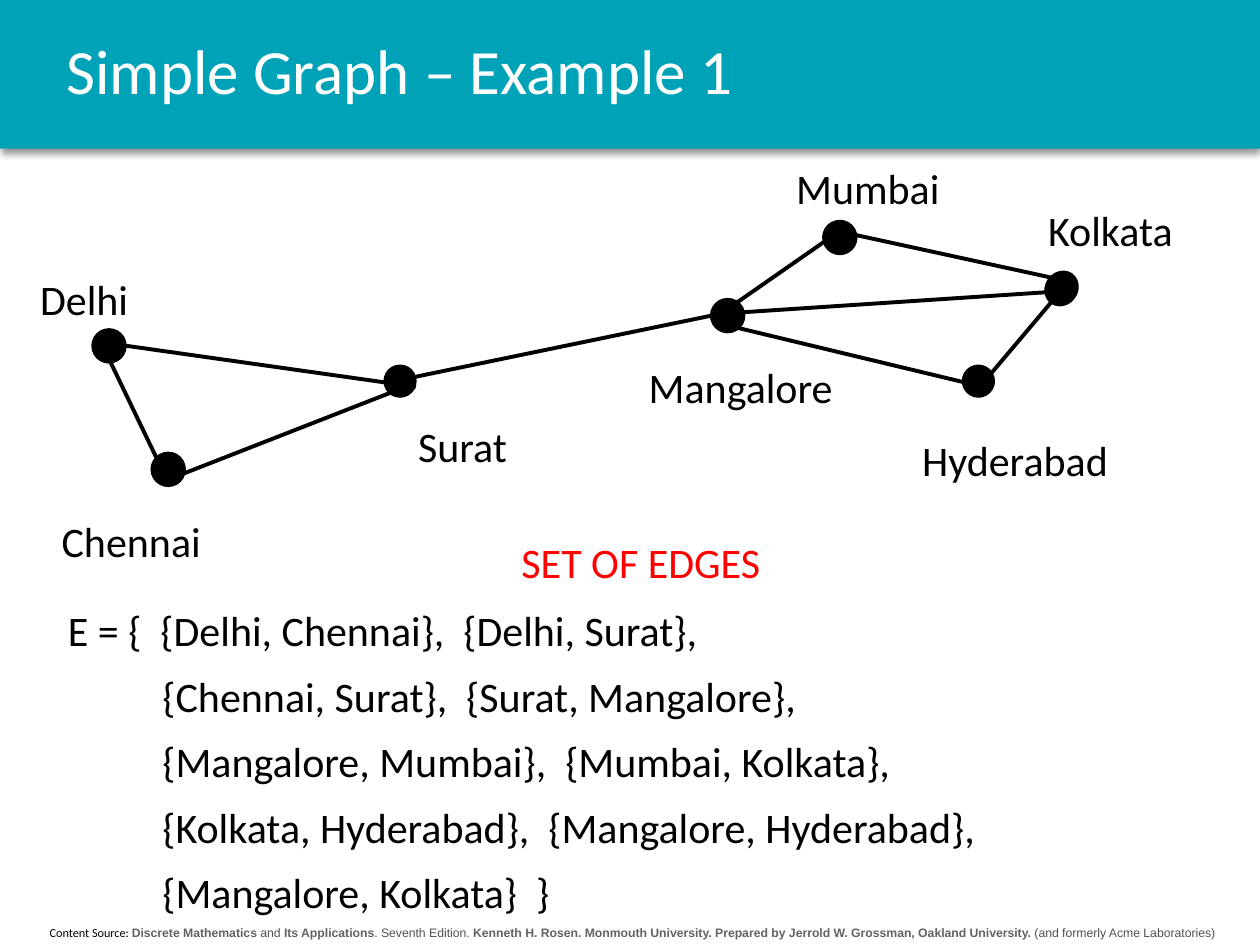
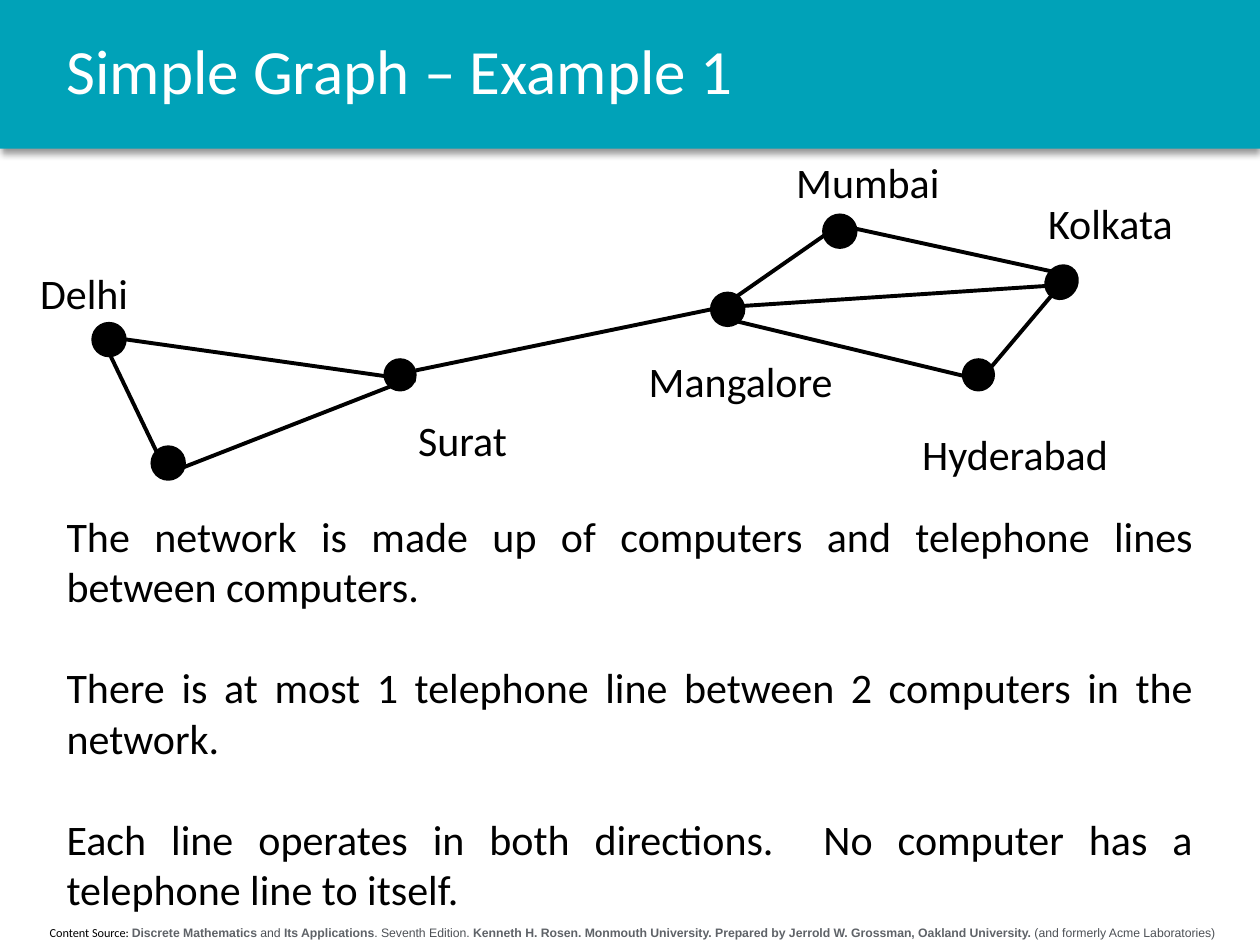
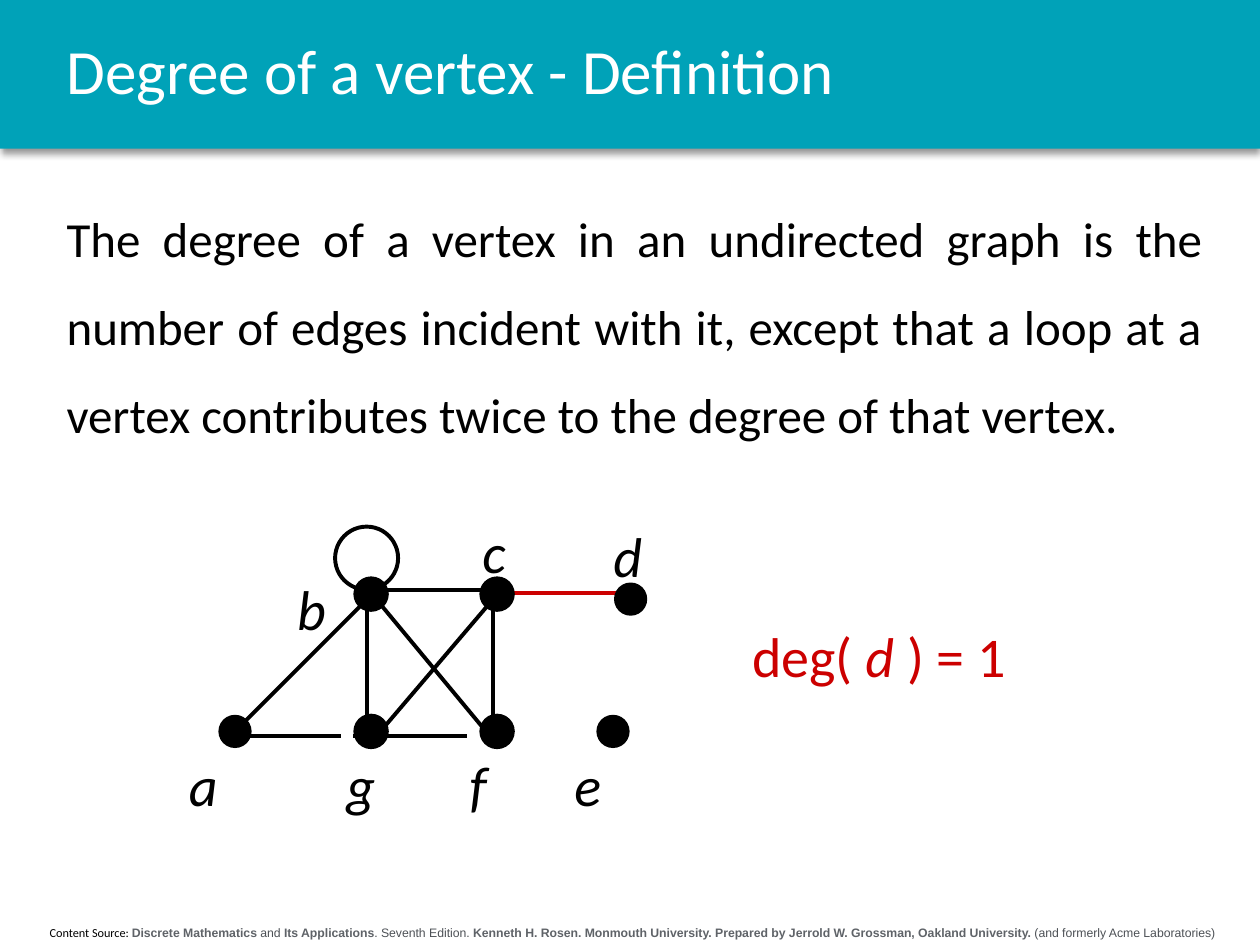
"""Build three slides on simple graphs and the degree of a vertex."""
from pptx import Presentation
from pptx.dml.color import RGBColor
from pptx.enum import shapes, text
from pptx.oxml import parse_xml
from pptx.oxml.ns import nsdecls
from pptx.oxml.xmlchemy import OxmlElement
from pptx.util import Pt

PX = 9144
TEAL = RGBColor(0x00, 0xA2, 0xB8)
WHITE = RGBColor(0xFF, 0xFF, 0xFF)
BLACK = RGBColor(0x00, 0x00, 0x00)
RED = RGBColor(0xFF, 0x00, 0x00)
DARK_RED = RGBColor(0xCC, 0x00, 0x00)
SLATE = RGBColor(0x5F, 0x63, 0x68)
GREY = RGBColor(0x4D, 0x51, 0x56)
SHADOW = (
    f'<a:effectLst {nsdecls("a")}><a:outerShdw blurRad="50800" dist="38100" dir="5400000" '
    'algn="t" rotWithShape="0"><a:srgbClr val="000000"><a:alpha val="40000"/></a:srgbClr>'
    '</a:outerShdw></a:effectLst>'
)
STRONG = {"font": "Arial", "color": SLATE, "bold": True}
PLAIN = {"font": "Arial", "color": GREY}
FOOTER = [
    ("Content Source: ", {}),
    ("Discrete Mathematics", STRONG),
    (" and ", PLAIN),
    ("Its Applications", STRONG),
    (". Seventh Edition. ", PLAIN),
    ("Kenneth H. Rosen. Monmouth University. Prepared by Jerrold W. Grossman, "
     "Oakland University.", STRONG),
    (" (and formerly Acme Laboratories)", PLAIN),
]


def write(page, bounds, paragraphs, size=24, color=BLACK, font="Calibri", bold=False,
          italic=False, align=text.PP_ALIGN.LEFT, anchor=text.MSO_ANCHOR.TOP, wrap=False,
          spacing=None, gap=0, indent=0):
    """Add a text box; each paragraph is a string or a list of (text, format) spans."""
    box = page.shapes.add_textbox(*(value * PX for value in bounds))
    frame = box.text_frame
    frame.word_wrap = wrap
    frame.vertical_anchor = anchor
    if not wrap:
        frame.auto_size = text.MSO_AUTO_SIZE.SHAPE_TO_FIT_TEXT
    for index, content in enumerate(paragraphs):
        para = frame.add_paragraph() if index else frame.paragraphs[0]
        para.alignment = align
        para.line_spacing = spacing
        if index:
            para.space_before = Pt(gap)
            para._p.get_or_add_pPr().set("marL", str(indent * PX))
        for words, changes in [(content, {})] if isinstance(content, str) else content:
            style = {"font": font, "color": color, "bold": bold, "italic": italic} | changes
            span = para.add_run()
            span.text = words
            span.font.size = Pt(size)
            span.font.name = style["font"]
            span.font.color.rgb = style["color"]
            span.font.bold = style["bold"]
            span.font.italic = style["italic"]


city_edges = [
    (88, 288, 124, 363), (654, 192, 585, 240), (97, 274, 330, 307),
    (322, 307, 130, 382), (663, 183, 842, 222), (572, 249, 830, 232),
    (572, 257, 780, 307), (572, 249, 330, 299), (841, 232, 776, 309),
]
city_dots = [
    (74, 262, 25, 2.25, 0), (121, 360, 25, 2.25, 0), (654, 176, 25, 2.25, 0),
    (565, 238, 25, 2.25, 0), (764, 290, 25, 1, 0), (830, 215, 28, 1, 35),
    (305, 290, 25, 1, 0),
]
city_labels = [
    ("Delhi", 22, 212, 97), ("Surat", 322, 329, 103), ("Kolkata", 822, 157, 135),
    ("Mangalore", 505, 282, 181), ("Hyderabad", 722, 340, 182), ("Mumbai", 622, 124, 139),
]
vertex_edges = [
    (497, 471, 405, 471, DARK_RED), (291, 484, 291, 568), (391, 484, 391, 568),
    (280, 584, 371, 584), (299, 476, 382, 576), (391, 476, 299, 584),
    (291, 468, 391, 468), (180, 584, 271, 584), (291, 476, 191, 576),
]
vertex_dots = [
    (282, 459, 25, 2.25, 0), (282, 568, 25, 2.25, 0), (382, 459, 25, 2.25, 0),
    (382, 568, 25, 2.25, 0), (488, 463, 25, 1, 0), (474, 568, 25, 1, 0),
    (174, 568, 25, 1, 0),
]
vertex_labels = [
    ("a", 140, 591, 46), ("g", 265, 591, 46), ("f", 363, 591, 36), ("e", 446, 591, 46),
    ("b", 226, 451, 47), ("c", 373, 406, 45), ("d", 477, 409, 46),
]
cities = (city_edges, city_dots, city_labels, {"size": 24})
vertices = (vertex_edges, vertex_dots, vertex_labels, {"size": 32, "italic": True})
slides = [
    ("Simple Graph – Example 1", cities, 0),
    ("Simple Graph – Example 1", cities, -5),
    ("Degree of a vertex - Definition", vertices, 0),
]

deck = Presentation()
deck.slide_width = 1000 * PX
deck.slide_height = 750 * PX
pages = []
for title, (edges, dots, labels, label_format), shift in slides:
    page = deck.slides.add_slide(deck.slide_layouts[6])
    pages.append(page)
    band = page.shapes.add_shape(shapes.MSO_SHAPE.RECTANGLE, 0, 0, 1000 * PX, 118 * PX)
    band.fill.solid()
    band.fill.fore_color.rgb = TEAL
    band.line.fill.background()
    band._element.spPr.append(parse_xml(SHADOW))
    write(page, (4, 729, 996, 22), [FOOTER], size=7, align=text.PP_ALIGN.CENTER, wrap=True)
    write(page, (43, 0, 930, 118), [title], size=36, color=WHITE, wrap=True,
          anchor=text.MSO_ANCHOR.MIDDLE, spacing=0.9)

    for x1, y1, x2, y2, *color in edges:
        edge = page.shapes.add_connector(
            shapes.MSO_CONNECTOR.STRAIGHT,
            x1 * PX, (y1 + shift) * PX, x2 * PX, (y2 + shift) * PX)
        edge.line.color.rgb = color[0] if color else BLACK
        edge.line.width = Pt(2.25)
        edge._element.spPr.append(OxmlElement("a:effectLst"))
    for left, top, height, weight, turn in dots:
        dot = page.shapes.add_shape(
            shapes.MSO_SHAPE.OVAL, left * PX, (top + shift) * PX, 25 * PX, height * PX)
        dot.rotation = turn
        dot.shadow.inherit = False
        dot.fill.solid()
        dot.fill.fore_color.rgb = BLACK
        dot.line.color.rgb = BLACK
        dot.line.width = Pt(weight)
    for name, left, top, width in labels:
        write(page, (left, top + shift, width, 2 * label_format["size"]), [name],
              **label_format)

edge_page, network_page, degree_page = pages

write(edge_page, (39, 404, 142, 50), ["Chennai"])
write(edge_page, (44, 463, 841, 266), [
    "E = {  {Delhi, Chennai},  {Delhi, Surat},",
    "{Chennai, Surat},  {Surat, Mangalore},",
    "{Mangalore, Mumbai},  {Mumbai, Kolkata},",
    "{Kolkata, Hyderabad},  {Mangalore, Hyderabad},",
    "{Mangalore, Kolkata}  }",
], spacing=1.3, indent=75)
write(edge_page, (404, 421, 241, 50), ["SET OF EDGES"], color=RED)

write(network_page, (43, 400, 914, 333), [
    "The network is made up of computers and telephone lines between computers.",
    "There is at most 1 telephone line between 2 computers in the network.",
    "Each line operates in both directions.  No computer has a telephone line to itself.",
], align=text.PP_ALIGN.JUSTIFY, wrap=True, gap=29)

write(degree_page, (43, 137, 921, 286), [
    "The degree of a vertex in an undirected graph is the number of edges incident with it, "
    "except that a loop at a vertex contributes twice to the degree of that vertex.",
], size=28, align=text.PP_ALIGN.JUSTIFY, wrap=True, spacing=1.5)
loop = degree_page.shapes.add_shape(
    shapes.MSO_SHAPE.OVAL, 266 * PX, 418 * PX, 50 * PX, 50 * PX)
loop.shadow.inherit = False
loop.fill.background()
loop.line.color.rgb = BLACK
loop.line.width = Pt(2.25)
write(degree_page, (587, 488, 231, 64),
      [[("deg( ", {}), ("d ", {"italic": True}), (") = 1", {})]], size=32, color=DARK_RED)

deck.save("out.pptx")
